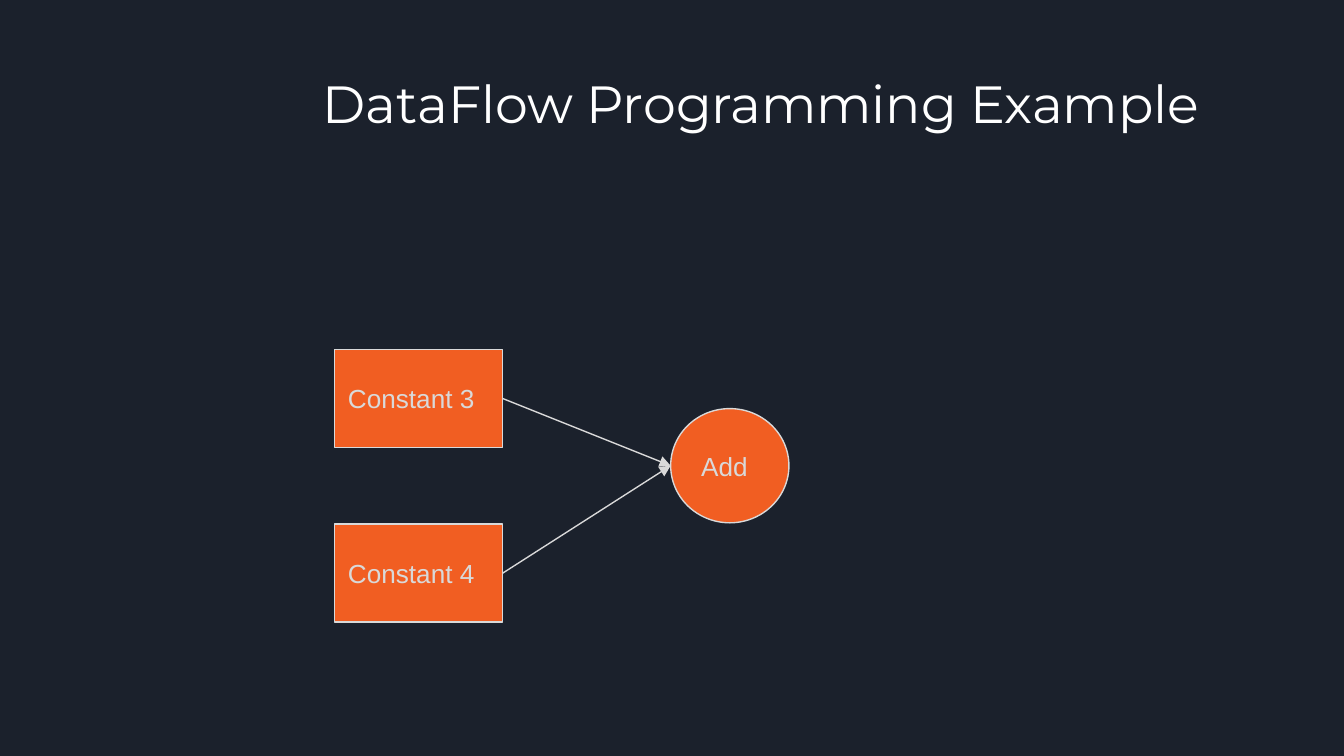
from lxml import etree
from pptx import Presentation
from pptx.dml.color import RGBColor
from pptx.enum import shapes, text
from pptx.oxml import ns
from pptx.util import Inches, Pt

NAVY, ORANGE, GRAY, WHITE = "1B212C", "F15E22", "D9D9D9", "FFFFFF"


def paint(fill, color):
    fill.solid()
    fill.fore_color.rgb = RGBColor.from_string(color)


def outline(line):
    paint(line.fill, GRAY)
    line.width = Pt(0.75)


def write(shape, words, font, size, color, anchor):
    frame = shape.text_frame
    frame.word_wrap = True
    frame.vertical_anchor = anchor
    frame.margin_left = frame.margin_right = Inches(0.1)
    frame.margin_top = frame.margin_bottom = Inches(0.1)
    para = frame.paragraphs[0]
    para.text = words
    para.alignment = text.PP_ALIGN.LEFT
    para.font.name = font
    para.font.size = Pt(size)
    paint(para.font.fill, color)


def add_title(slide, words):
    box = slide.shapes.add_textbox(Inches(2.3), Inches(0.43), Inches(7.7), Inches(1))
    write(box, words, "Montserrat", 28, WHITE, text.MSO_ANCHOR.TOP)


def add_node(slide, kind, words, left, top, width, height):
    node = slide.shapes.add_shape(
        kind, Inches(left), Inches(top), Inches(width), Inches(height))
    node.shadow.inherit = False
    paint(node.fill, ORANGE)
    outline(node.line)
    write(node, words, "Arial", 14, GRAY, text.MSO_ANCHOR.MIDDLE)
    return node


def add_arrow(slide, start, end):
    """Join the right side of start to the left side of end."""
    arrow = slide.shapes.add_connector(
        shapes.MSO_CONNECTOR.STRAIGHT,
        start.left + start.width, start.top + start.height // 2,
        end.left, end.top + end.height // 2)
    outline(arrow.line)
    etree.SubElement(arrow.line._get_or_add_ln(), ns.qn("a:tailEnd"), type="triangle")
    etree.SubElement(arrow._element.spPr, ns.qn("a:effectLst"))


def main():
    deck = Presentation()
    deck.slide_width = Inches(10)
    deck.slide_height = deck.slide_width * 9 // 16
    slide = deck.slides.add_slide(deck.slide_layouts[6])
    paint(slide.background.fill, NAVY)

    add_title(slide, "DataFlow Programming Example")
    kind = shapes.MSO_SHAPE
    inputs = [add_node(slide, kind.RECTANGLE, words, 2.49, top, 1.25, 0.73)
              for words, top in (("Constant 3", 2.6), ("Constant 4", 3.9))]
    adder = add_node(slide, kind.OVAL, "Add", 4.99, 3.04, 0.88, 0.85)
    for node in inputs:
        add_arrow(slide, node, adder)

    deck.save("out.pptx")


if __name__ == "__main__":
    main()
